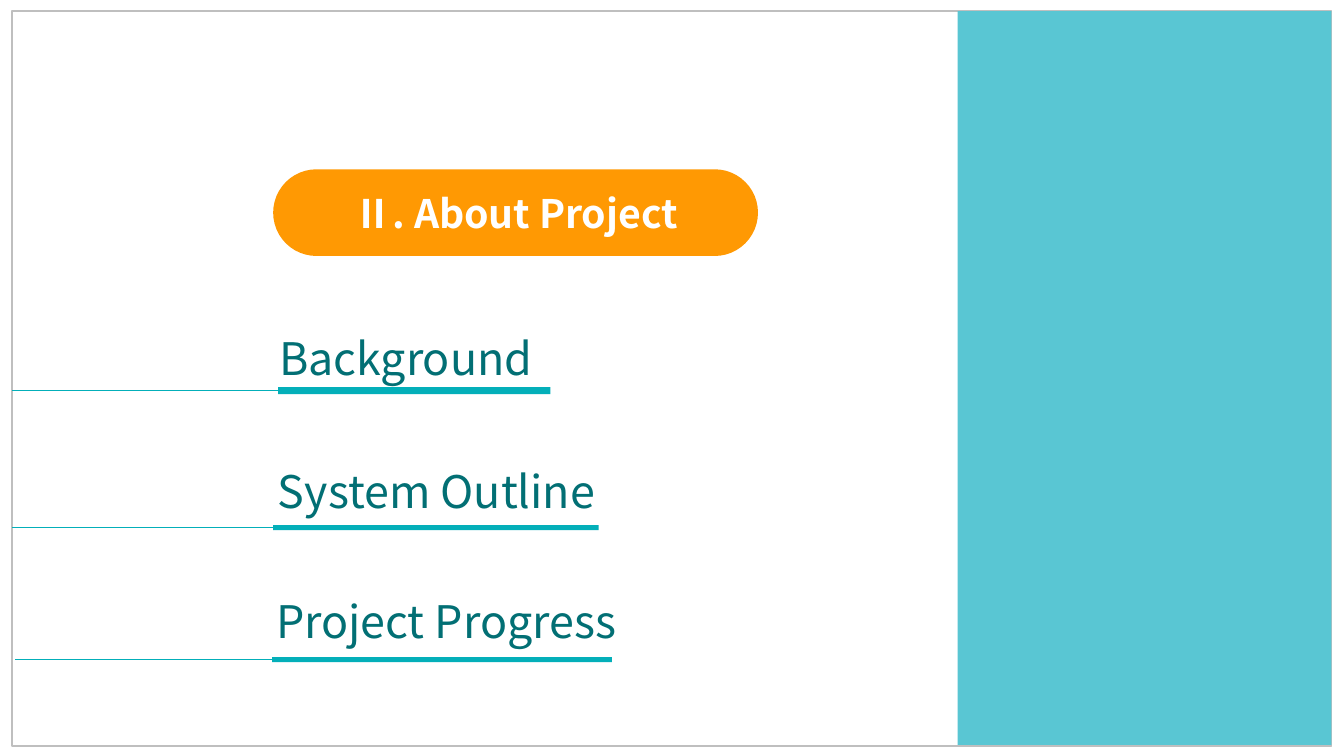
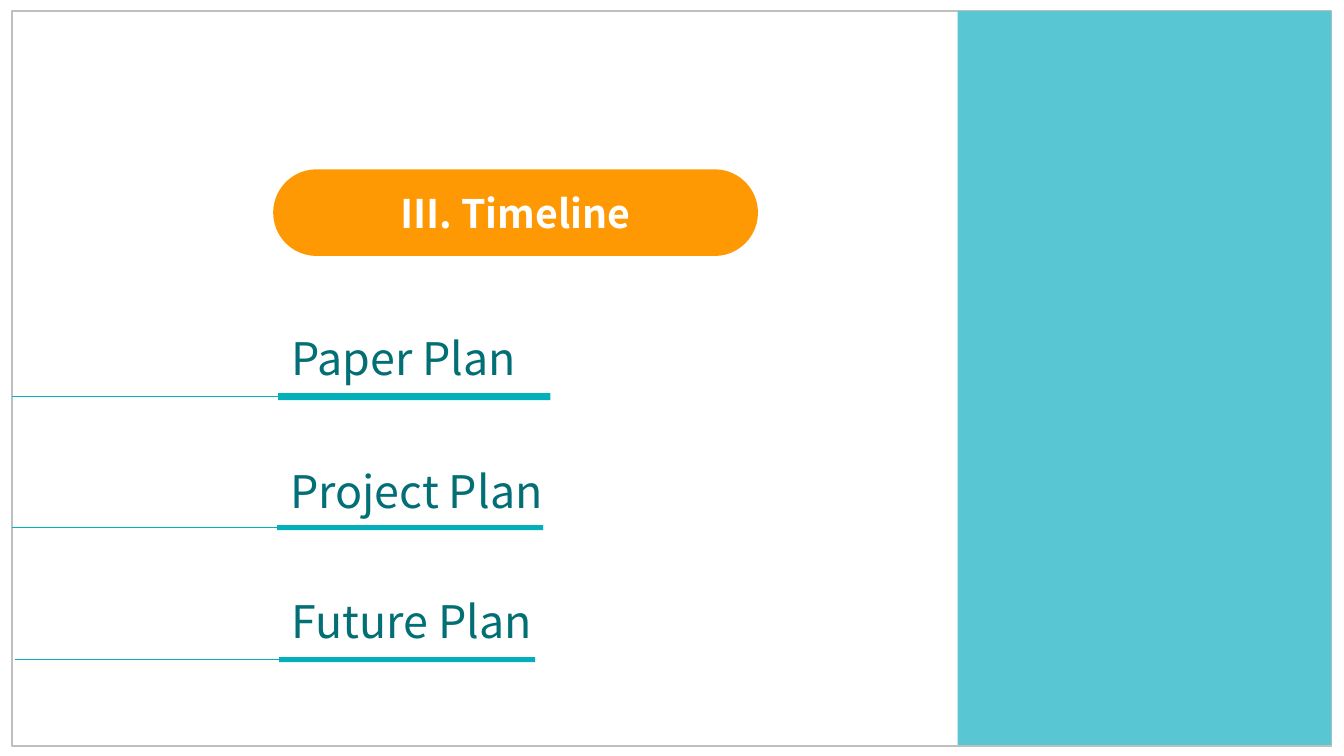
from lxml.etree import SubElement
from pptx import Presentation
from pptx.dml.color import RGBColor
from pptx.enum.shapes import MSO_CONNECTOR, MSO_SHAPE
from pptx.enum.text import MSO_ANCHOR, MSO_AUTO_SIZE, PP_ALIGN
from pptx.oxml.ns import qn
from pptx.util import Pt

COLORS = {
    "frame": "BFBFBF",
    "band": "59C6D3",
    "pill": "FF9903",
    "rule": "03AFB9",
    "topic": "026F74",
    "white": "FFFFFF",
}
FONT = "Noto Sans CJK KR"
TOPIC_TOPS = (232.56, 327.6, 420.48)
TOPIC_WIDTHS = (225.36, 262.08, 282.96)
LEAD_STARTS = (8.64, 8.64, 10.8)
BAR_HEIGHTS = (5.04, 3.6, 3.6)

SECTIONS = [
    ("Ⅱ. About Project", [
        ("Background", 192.24, (198.72, 276.48, 194.4)),
        ("System Outline", 191.52, (195.12, 375.12, 232.56)),
        ("Project Progress", 190.08, (194.4, 469.44, 242.64)),
    ]),
    ("Ⅲ. Timeline", [
        ("Paper Plan", 200.88, (198.72, 280.8, 194.4)),
        ("Project Plan", 200.16, (198, 375.12, 190.08)),
        ("Future Plan", 200.88, (199.44, 469.44, 182.88)),
    ]),
]


class SectionDeck:
    def __init__(self):
        self.presentation = Presentation()
        self.presentation.slide_width = Pt(960)
        self.presentation.slide_height = Pt(540)
        self.slide = None

    def color(self, name):
        return RGBColor.from_string(COLORS[name])

    def add_slide(self):
        self.slide = self.presentation.slides.add_slide(self.presentation.slide_layouts[6])

    def add_box(self, left, top, width, height, fill=None, line=None, kind=MSO_SHAPE.RECTANGLE):
        shape = self.slide.shapes.add_shape(kind, Pt(left), Pt(top), Pt(width), Pt(height))
        shape.shadow.inherit = False
        if fill:
            shape.fill.solid()
            shape.fill.fore_color.rgb = self.color(fill)
        else:
            shape.fill.background()
        if line:
            shape.line.color.rgb = self.color(line)
            shape.line.width = Pt(1)
        else:
            shape.line.fill.background()
        return shape

    def add_run(self, paragraph, text, size, color, bold=False):
        run = paragraph.add_run()
        run.text = text
        run.font.size = Pt(size)
        run.font.bold = bold
        run.font.color.rgb = self.color(color)
        run.font.name = FONT
        SubElement(run.font._element, qn("a:ea")).set("typeface", FONT)

    def add_pill(self, text):
        shape = self.add_box(195.12, 120.96, 346.32, 61.92, "pill",
                             kind=MSO_SHAPE.ROUNDED_RECTANGLE)
        shape.adjustments[0] = 0.5
        shape.text_frame.vertical_anchor = MSO_ANCHOR.MIDDLE
        paragraph = shape.text_frame.paragraphs[0]
        paragraph.alignment = PP_ALIGN.CENTER
        self.add_run(paragraph, text, 28, "white", bold=True)

    def add_topic(self, text, left, top, width):
        shape = self.slide.shapes.add_textbox(Pt(left), Pt(top), Pt(width), Pt(46.08))
        shape.text_frame.word_wrap = True
        shape.text_frame.auto_size = MSO_AUTO_SIZE.SHAPE_TO_FIT_TEXT
        self.add_run(shape.text_frame.paragraphs[0], text, 32, "topic")

    def add_underline(self, left, top, width, height, lead_start):
        bar = self.add_box(left, top, width, height, "rule")
        middle = Pt(top + height / 2)
        lead = self.slide.shapes.add_connector(
            MSO_CONNECTOR.STRAIGHT, Pt(lead_start), middle, Pt(left), middle)
        lead.end_connect(bar, 1)
        lead.line.color.rgb = self.color("rule")
        lead.line.width = Pt(0.5)
        SubElement(lead._element.spPr, qn("a:effectLst"))

    def add_section(self, title, topics):
        self.add_slide()
        self.add_box(8.64, 7.92, 942.48, 524.88, line="frame")
        self.add_box(684, 7.92, 267.12, 524.16, "band")
        self.add_pill(title)
        rows = zip(topics, TOPIC_TOPS, TOPIC_WIDTHS, BAR_HEIGHTS, LEAD_STARTS)
        for (text, text_left, bar), top, width, bar_height, lead_start in rows:
            self.add_topic(text, text_left, top, width)
            self.add_underline(*bar, bar_height, lead_start)


def main():
    deck = SectionDeck()
    for title, topics in SECTIONS:
        deck.add_section(title, topics)
    deck.presentation.save("out.pptx")


if __name__ == "__main__":
    main()
